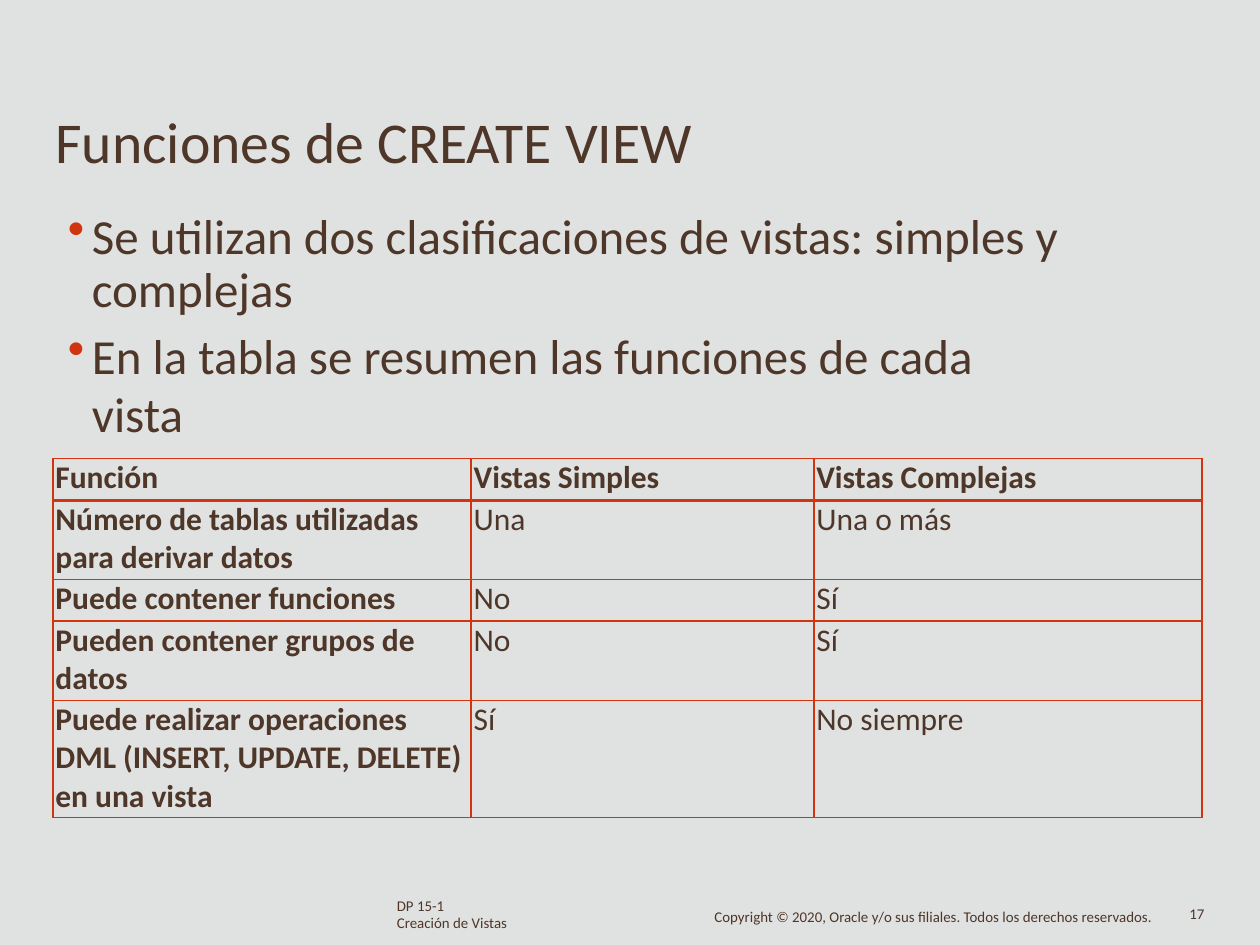
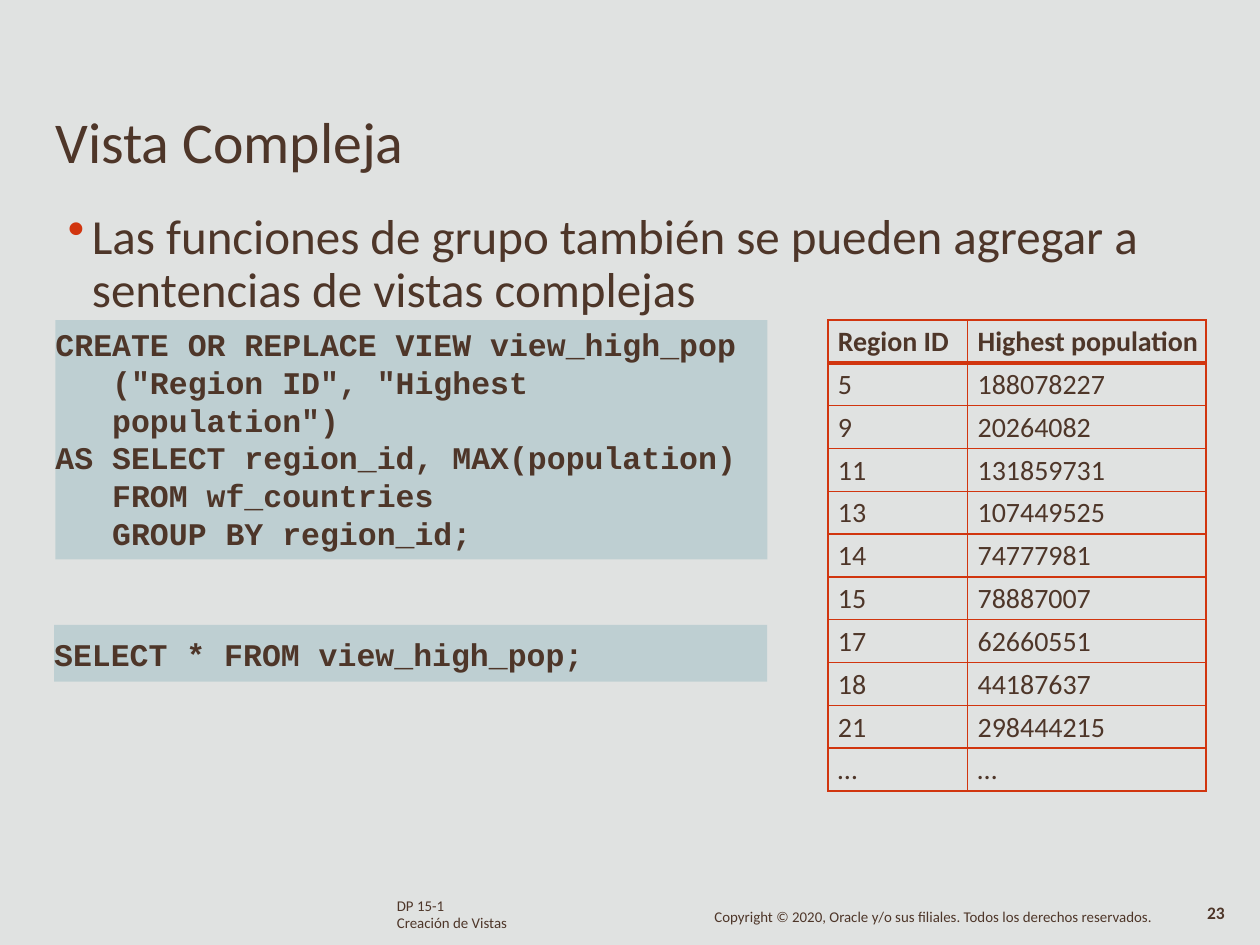
import pptx
import pptx.dml.color
import pptx.enum.shapes
import pptx.enum.text
import pptx.oxml.ns
import pptx.util
from lxml import etree

# Shared look
SLIDE_WIDTH, SLIDE_HEIGHT = 10, 7.5
COLORS = {"background": "E0E2E1", "text": "4E3629", "accent": "D1350F", "code": "9DBEC4"}
BODY_FONT, CODE_FONT = "Calibri", "Courier New"
TITLE_SIZE, BULLET_SIZE, CODE_SIZE, FOOTER_SIZE = 33, 28, 18, 8.5
CODE_INDENT = 0.45
THIN, THICK = 1, 2.25

# Shared content
LESSON = ["DP 15-1", "Creación de Vistas"]
COPYRIGHT = "Copyright © 2020, Oracle y/o sus filiales. Todos los derechos reservados."

# Slide content; code lines are (indent level, text)
SLIDES = [
    {
        "title": "Funciones de CREATE VIEW",
        "bullets": [
            "Se utilizan dos clasificaciones de vistas: simples y complejas",
            "En la tabla se resumen las funciones de cada vista",
        ],
        "bullet_width": 7.9,
        "table": {
            "at": (0.42, 3.64), "columns": [3.32, 2.72, 3.08],
            "heights": [0.33, 0.63, 0.33, 0.63, 0.93],
            "size": 18, "inset": (0.02, 0), "bold_first_column": True,
            "rows": [
                ("Función", "Vistas Simples", "Vistas Complejas"),
                ("Número de tablas utilizadas para derivar datos", "Una", "Una o más"),
                ("Puede contener funciones", "No", "Sí"),
                ("Pueden contener grupos de datos", "No", "Sí"),
                ("Puede realizar operaciones DML (INSERT, UPDATE, DELETE)\nen una vista",
                 "Sí", "No siempre"),
            ],
        },
        "code": [],
        "number": {"text": "17", "at": (9.44, 7.18), "size": FOOTER_SIZE, "bold": False},
    },
    {
        "title": "Vista Compleja",
        "bullets": [
            "Las funciones de grupo también se pueden agregar a sentencias de vistas complejas",
        ],
        "bullet_width": 8.53,
        "table": {
            "at": (6.57, 2.54), "columns": [1.11, 1.89], "heights": [0.34] * 11,
            "size": 16, "inset": (0.08, 0.04), "bold_first_column": False,
            "rows": [
                ("Region ID", "Highest population"),
                ("5", "188078227"), ("9", "20264082"), ("11", "131859731"),
                ("13", "107449525"), ("14", "74777981"), ("15", "78887007"),
                ("17", "62660551"), ("18", "44187637"), ("21", "298444215"),
                ("…", "…"),
            ],
        },
        "code": [
            {"box": (0.44, 2.54, 5.65, 1.9), "inset": 0.04, "lines": [
                (0, "CREATE OR REPLACE VIEW view_high_pop"),
                (1, '("Region ID", "Highest population")'),
                (0, "AS SELECT region_id, MAX(population)"),
                (1, "FROM wf_countries"),
                (1, "GROUP BY region_id;"),
            ]},
            {"box": (0.43, 4.96, 5.66, 0.45), "inset": 0.08,
             "lines": [(0, "SELECT * FROM view_high_pop;")]},
        ],
        "number": {"text": "23", "at": (9.58, 7.16), "size": 10, "bold": True},
    },
]


def rgb(name):
    return pptx.dml.color.RGBColor.from_string(COLORS[name])


def inches(values):
    return [pptx.util.Inches(value) for value in values]


def add_run(paragraph, text, size, bold=False, font=BODY_FONT):
    run = paragraph.add_run()
    run.text = text
    run.font.name = font
    run.font.size = pptx.util.Pt(size)
    run.font.bold = bold
    run.font.color.rgb = rgb("text")


def prepare_frame(frame, top_inset):
    frame.word_wrap = True
    frame.vertical_anchor = pptx.enum.text.MSO_ANCHOR.TOP
    frame.margin_left = frame.margin_right = frame.margin_bottom = 0
    frame.margin_top = pptx.util.Inches(top_inset)


def paragraphs_for(frame, items):
    """Yield one paragraph of the frame for each item."""
    for index, item in enumerate(items):
        yield (frame.add_paragraph() if index else frame.paragraphs[0]), item


def set_indent(paragraph, left, first):
    properties = paragraph._p.get_or_add_pPr()
    properties.set("marL", str(pptx.util.Inches(left)))
    properties.set("indent", str(pptx.util.Inches(first)))
    return properties


def add_text(slide, box, lines, size, bold=False, top_inset=0.02, spacing=None):
    frame = slide.shapes.add_textbox(*inches(box)).text_frame
    prepare_frame(frame, top_inset)
    for paragraph, line in paragraphs_for(frame, lines):
        if spacing:
            paragraph.line_spacing = pptx.util.Pt(spacing)
        add_run(paragraph, line, size, bold)


def add_bullets(slide, bullets, width):
    frame = slide.shapes.add_textbox(*inches((0.53, 1.55, width, 0.91))).text_frame
    prepare_frame(frame, 0.13)
    for index, (paragraph, bullet) in enumerate(paragraphs_for(frame, bullets)):
        properties = set_indent(paragraph, 0.2, -0.19)
        color = etree.SubElement(properties, pptx.oxml.ns.qn("a:buClr"))
        etree.SubElement(color, pptx.oxml.ns.qn("a:srgbClr"), val=COLORS["accent"])
        etree.SubElement(properties, pptx.oxml.ns.qn("a:buChar"), char="•")
        if index:
            paragraph.space_before = pptx.util.Pt(4.2)
        else:
            paragraph.line_spacing = pptx.util.Pt(30.3)
        add_run(paragraph, bullet, BULLET_SIZE)


def set_borders(cell, top, bottom):
    properties = cell._tc.get_or_add_tcPr()
    for side, width in (("L", THIN), ("R", THIN), ("T", top), ("B", bottom)):
        line = etree.SubElement(properties, pptx.oxml.ns.qn("a:ln" + side),
                                w=str(pptx.util.Pt(width)))
        fill = etree.SubElement(line, pptx.oxml.ns.qn("a:solidFill"))
        etree.SubElement(fill, pptx.oxml.ns.qn("a:srgbClr"), val=COLORS["accent"])


def add_table(slide, data):
    rows, columns, heights = data["rows"], data["columns"], data["heights"]
    box = (*data["at"], sum(columns), sum(heights))
    table = slide.shapes.add_table(len(rows), len(columns), *inches(box)).table
    table.horz_banding = False
    for column, width in zip(table.columns, inches(columns)):
        column.width = width
    for row, height in zip(table.rows, inches(heights)):
        row.height = height
    for row_index, row in enumerate(rows):
        for column_index, text in enumerate(row):
            cell = table.cell(row_index, column_index)
            set_borders(cell, THICK if row_index == 1 else THIN,
                        THICK if row_index == 0 else THIN)
            cell.fill.background()
            cell.margin_left, cell.margin_top = inches(data["inset"])
            cell.margin_right = cell.margin_bottom = 0
            bold = row_index == 0 or (data["bold_first_column"] and column_index == 0)
            for paragraph, line in paragraphs_for(cell.text_frame, text.split("\n")):
                add_run(paragraph, line, data["size"], bold)


def add_code(slide, block):
    shape = slide.shapes.add_shape(pptx.enum.shapes.MSO_SHAPE.RECTANGLE, *inches(block["box"]))
    shape.shadow.inherit = False
    shape.line.fill.background()
    shape.fill.solid()
    shape.fill.fore_color.rgb = rgb("code")
    color = shape._element.spPr.find(".//" + pptx.oxml.ns.qn("a:srgbClr"))
    etree.SubElement(color, pptx.oxml.ns.qn("a:alpha"), val="50000")
    prepare_frame(shape.text_frame, block["inset"])
    for paragraph, (level, line) in paragraphs_for(shape.text_frame, block["lines"]):
        set_indent(paragraph, level * CODE_INDENT, 0)
        paragraph.alignment = pptx.enum.text.PP_ALIGN.LEFT
        paragraph.line_spacing = pptx.util.Pt(CODE_SIZE * 1.2)
        add_run(paragraph, line, CODE_SIZE, True, CODE_FONT)


def add_footer(slide, number):
    add_text(slide, (3.15, 7.1, 1.2, 0.3), LESSON, FOOTER_SIZE, spacing=9.7)
    add_text(slide, (5.67, 7.18, 3.6, 0.17), [COPYRIGHT], FOOTER_SIZE)
    add_text(slide, (*number["at"], 0.24, 0.17), [number["text"]],
             number["size"], number["bold"], top_inset=0)


def main():
    presentation = pptx.Presentation()
    presentation.slide_width, presentation.slide_height = inches((SLIDE_WIDTH, SLIDE_HEIGHT))
    blank = presentation.slide_layouts[6]
    for content in SLIDES:
        slide = presentation.slides.add_slide(blank)
        slide.background.fill.solid()
        slide.background.fill.fore_color.rgb = rgb("background")
        add_text(slide, (0.44, 0.82, 7.36, 0.58), [content["title"]], TITLE_SIZE)
        add_bullets(slide, content["bullets"], content["bullet_width"])
        add_table(slide, content["table"])
        for block in content["code"]:
            add_code(slide, block)
        add_footer(slide, content["number"])
    presentation.save("out.pptx")


if __name__ == "__main__":
    main()
